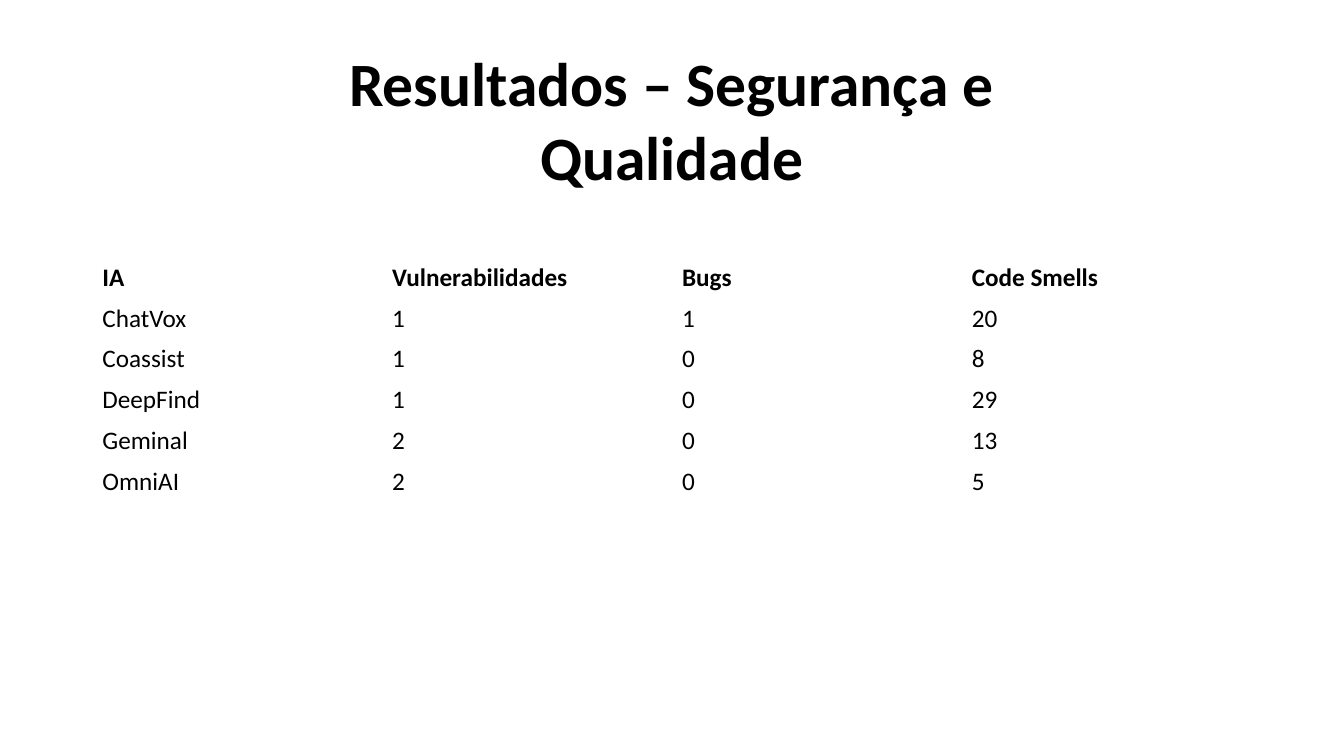
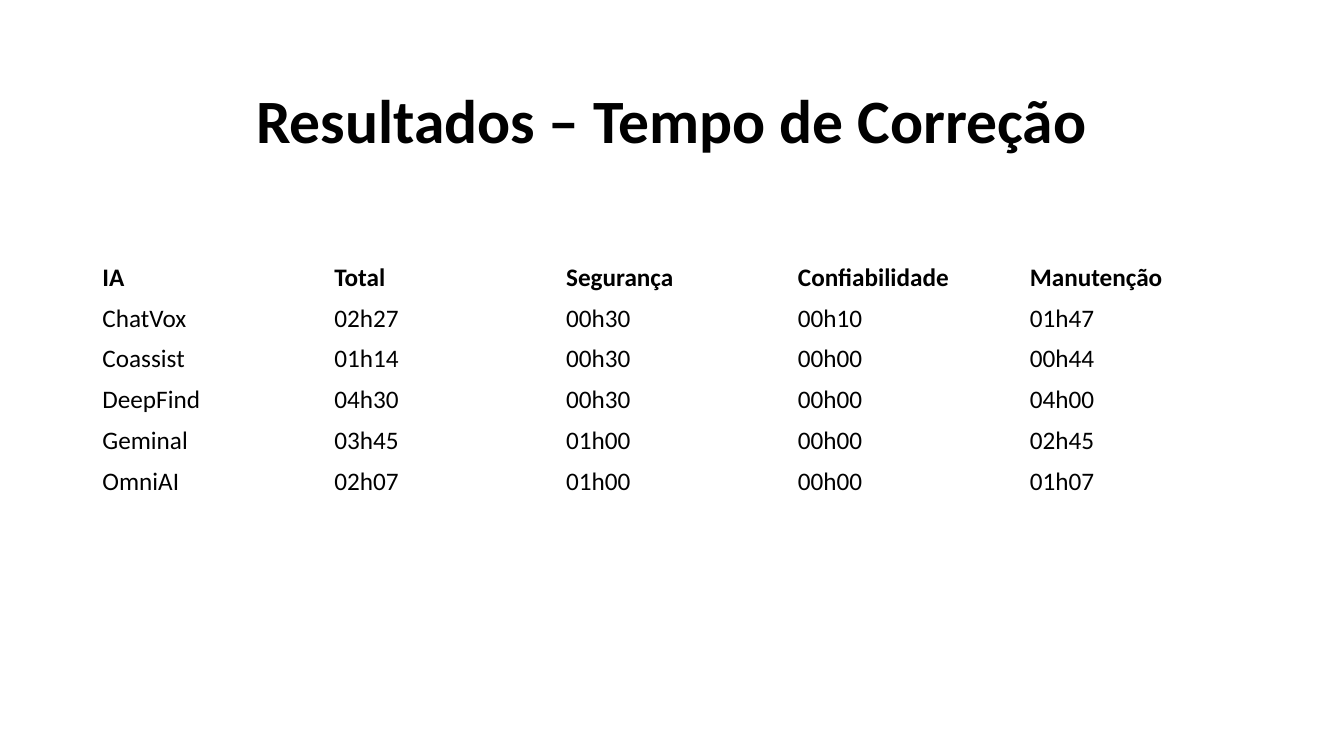
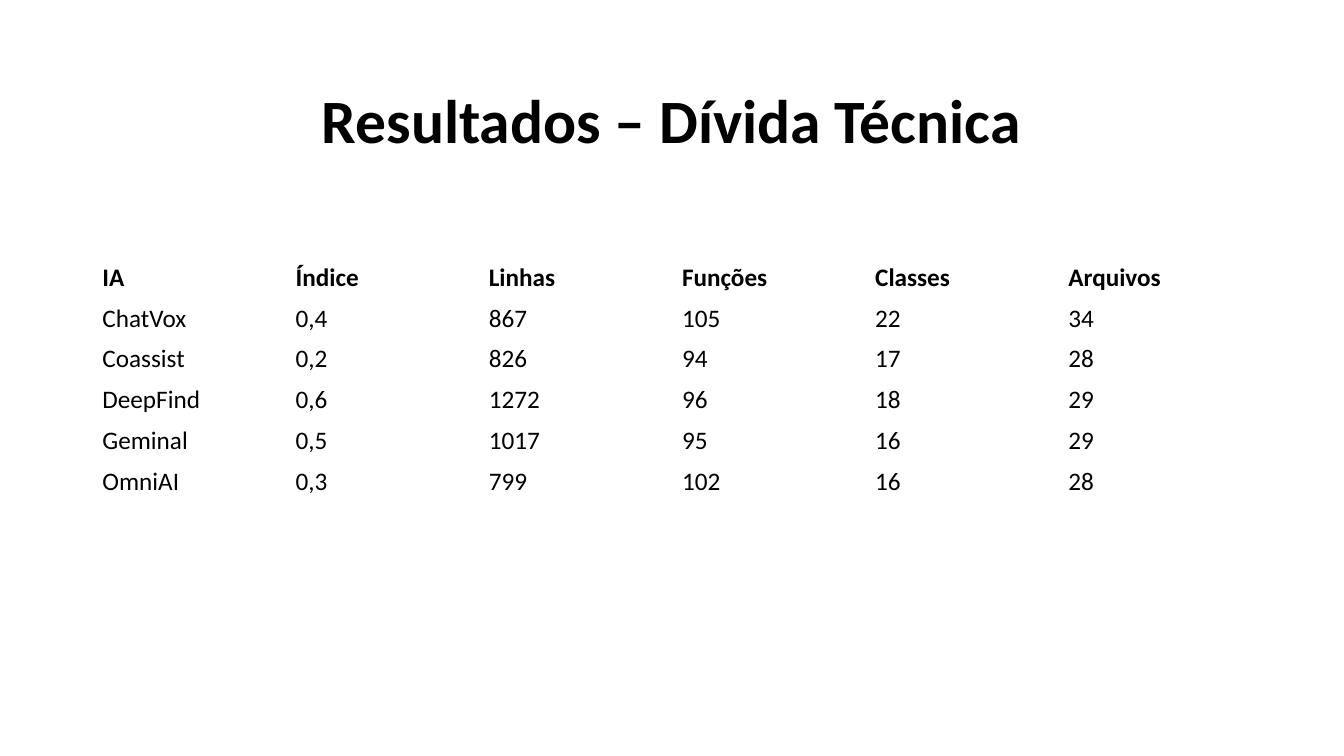
"""Build three result slides, each with a title and a plain table."""
from pptx import Presentation
from pptx.dml.color import RGBColor
from pptx.enum.text import MSO_ANCHOR, MSO_AUTO_SIZE, PP_ALIGN
from pptx.util import Pt

ASSISTANTS = ["ChatVox", "Coassist", "DeepFind", "Geminal", "OmniAI"]
RESULTS = [
    ("Resultados – Segurança e Qualidade",
     ["Vulnerabilidades", "Bugs", "Code Smells"],
     [("1", "1", "20"),
      ("1", "0", "8"),
      ("1", "0", "29"),
      ("2", "0", "13"),
      ("2", "0", "5")]),
    ("Resultados – Tempo de Correção",
     ["Total", "Segurança", "Confiabilidade", "Manutenção"],
     [("02h27", "00h30", "00h10", "01h47"),
      ("01h14", "00h30", "00h00", "00h44"),
      ("04h30", "00h30", "00h00", "04h00"),
      ("03h45", "01h00", "00h00", "02h45"),
      ("02h07", "01h00", "00h00", "01h07")]),
    ("Resultados – Dívida Técnica",
     ["Índice", "Linhas", "Funções", "Classes", "Arquivos"],
     [("0,4", "867", "105", "22", "34"),
      ("0,2", "826", "94", "17", "28"),
      ("0,6", "1272", "96", "18", "29"),
      ("0,5", "1017", "95", "16", "29"),
      ("0,3", "799", "102", "16", "28")]),
]
COLORS = {"text": "000000", "background": "FFFFFF"}
FONT = "Calibri"
TITLE_BOX = (156, 39.6, 648, 90)
TABLE_LEFT, TABLE_TOP, TABLE_WIDTH, ROW_HEIGHT = 66, 183.6, 828, 28.8


def style(para, size, bold):
    para.font.name = FONT
    para.font.size = Pt(size)
    para.font.bold = bold
    para.font.color.rgb = RGBColor.from_string(COLORS["text"])


def add_title(page, text):
    title = page.shapes.title
    title.left, title.top, title.width, title.height = map(Pt, TITLE_BOX)
    frame = title.text_frame
    frame.text = text
    frame.word_wrap = True
    frame.auto_size = MSO_AUTO_SIZE.NONE
    frame.vertical_anchor = MSO_ANCHOR.MIDDLE
    frame.paragraphs[0].alignment = PP_ALIGN.CENTER
    style(frame.paragraphs[0], 44, True)


def add_results(page, rows):
    table = page.shapes.add_table(
        len(rows), len(rows[0]), Pt(TABLE_LEFT), Pt(TABLE_TOP),
        Pt(TABLE_WIDTH), Pt(ROW_HEIGHT * len(rows))).table
    table.first_row = table.horz_banding = False
    for row_index, row in enumerate(rows):
        for column_index, text in enumerate(row):
            cell = table.cell(row_index, column_index)
            cell.text = text
            cell.fill.background()
            cell.vertical_anchor = MSO_ANCHOR.MIDDLE
            style(cell.text_frame.paragraphs[0], 18, row_index == 0)


def main():
    deck = Presentation()
    deck.slide_width, deck.slide_height = Pt(960), Pt(540)
    background = deck.slide_master.background.fill
    background.solid()
    background.fore_color.rgb = RGBColor.from_string(COLORS["background"])
    for title, measures, values in RESULTS:
        page = deck.slides.add_slide(deck.slide_layouts[5])
        add_title(page, title)
        rows = [("IA", *measures)]
        rows += [(name, *line) for name, line in zip(ASSISTANTS, values)]
        add_results(page, rows)
    deck.save("out.pptx")


if __name__ == "__main__":
    main()
